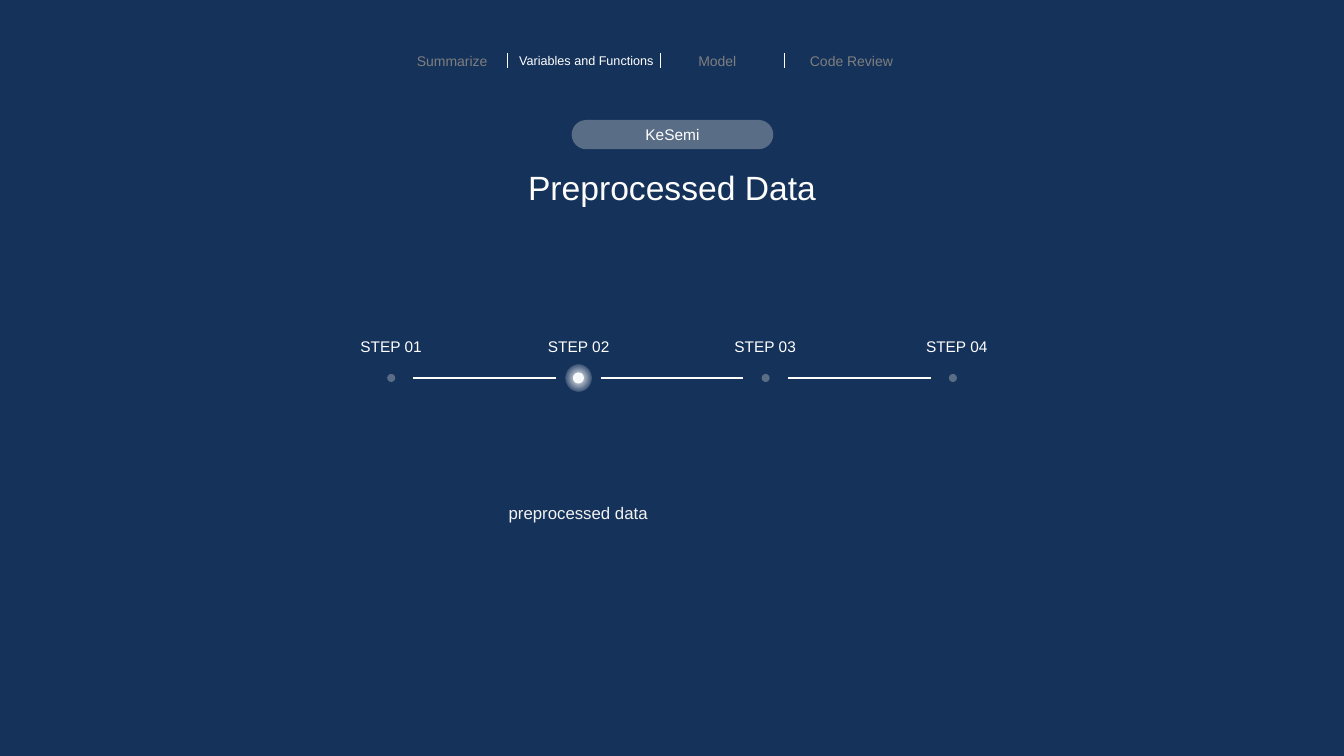
from dataclasses import dataclass

from lxml.etree import SubElement
from pptx import Presentation
from pptx.dml.color import RGBColor
from pptx.enum.shapes import MSO_CONNECTOR, MSO_SHAPE
from pptx.enum.text import MSO_ANCHOR, MSO_AUTO_SIZE, PP_ALIGN
from pptx.oxml import parse_xml
from pptx.oxml.ns import qn
from pptx.util import Inches, Pt


@dataclass(frozen=True)
class Theme:
    """Colours, font and type sizes of the slide."""
    font: str = "Arial"
    background: str = "15325A"
    light: str = "FDFDFB"
    white: str = "FFFFFF"
    soft: str = "F2F2F2"
    slate: str = "596D86"
    grey: str = "7F7F7F"
    title: float = 24
    body: float = 12
    label: float = 11
    nav: float = 10
    nav_active: float = 9
    rule: float = 0.75


THEME = Theme()
GLOW = """<a:gradFill xmlns:a="http://schemas.openxmlformats.org/drawingml/2006/main">
<a:gsLst>
<a:gs pos="0"><a:srgbClr val="F5F7FC"/></a:gs>
<a:gs pos="83000"><a:srgbClr val="FFFFFF"><a:alpha val="0"/></a:srgbClr></a:gs>
<a:gs pos="100000"><a:srgbClr val="FFFFFF"><a:alpha val="0"/></a:srgbClr></a:gs>
</a:gsLst>
<a:path path="circle"><a:fillToRect l="50000" t="50000" r="50000" b="50000"/></a:path>
</a:gradFill>"""


def write_text(sp, text, size, color, spacing=None):
    """Fill a text shape with one centred paragraph."""
    tf = sp.text_frame
    tf.text = text
    tf.word_wrap = True
    tf.auto_size = MSO_AUTO_SIZE.SHAPE_TO_FIT_TEXT
    tf.vertical_anchor = MSO_ANCHOR.TOP
    p = tf.paragraphs[0]
    p.alignment = PP_ALIGN.CENTER
    p.line_spacing = spacing
    p.font.name = THEME.font
    p.font.size = Pt(size)
    p.font.color.rgb = RGBColor.from_string(color)


def add_text(s, box, text, size, color, spacing=None):
    """Add a text box."""
    sp = s.shapes.add_textbox(*map(Inches, box))
    write_text(sp, text, size, color, spacing)


def add_filled(s, kind, box, color):
    """Add a plain shape without outline."""
    sp = s.shapes.add_shape(kind, *map(Inches, box))
    sp.shadow.inherit = False
    sp.fill.solid()
    sp.fill.fore_color.rgb = RGBColor.from_string(color)
    sp.line.fill.background()
    return sp


def add_dot(s, x, y, size, color):
    """Add a circle centred on a point."""
    box = (x - size / 2, y - size / 2, size, size)
    return add_filled(s, MSO_SHAPE.OVAL, box, color)


def add_glow(s, x, y, size):
    """Add a circle that fades out from its centre."""
    sp = add_dot(s, x, y, size, THEME.white)
    spPr = sp._element.spPr
    spPr.replace(spPr.find(qn("a:solidFill")), parse_xml(GLOW))


def add_line(s, x1, y1, x2, y2):
    """Add a thin straight line."""
    line = s.shapes.add_connector(
        MSO_CONNECTOR.STRAIGHT, *map(Inches, (x1, y1, x2, y2)))
    line.line.width = Pt(THEME.rule)
    line.line.color.rgb = RGBColor.from_string(THEME.light)
    SubElement(line._element.spPr, qn("a:effectLst"))


def add_heading(s):
    """Place the slide title and the pill above it."""
    title = s.shapes.title
    title.left, title.top, title.width, title.height = map(
        Inches, (4.16, 1.61, 5.01, 0.5))
    write_text(title, "Preprocessed Data", THEME.title, THEME.light)
    pill = add_filled(
        s, MSO_SHAPE.ROUNDED_RECTANGLE, (5.67, 1.19, 2, 0.29), THEME.slate)
    pill.adjustments[0] = 0.5
    add_text(s, (5.83, 1.19, 1.68, 0.29), "KeSemi", THEME.label, THEME.white)


def add_navigation(s):
    """Add the section names and the rules between them."""
    for x, name in ((3.87, "Summarize"), (6.5, "Model"), (7.83, "Code Review")):
        add_text(s, (x, 0.47, 1.23, 0.27), name, THEME.nav, THEME.grey)
    add_text(s, (4.97, 0.48, 1.69, 0.25), "Variables and Functions",
             THEME.nav_active, THEME.white)
    for x in (5.03, 6.55, 7.78):
        add_line(s, x, 0.53, x, 0.67)


def add_steps(s, active):
    """Add the step track with one highlighted step."""
    first, pitch, y, gap = 3.88, 1.857, 3.75, 0.22
    label_lefts = (3.41, 5.27, 7.12, 9.02)
    for i, left in enumerate(label_lefts):
        x = first + i * pitch
        add_text(s, (left, 3.29, 0.94, 0.29), f"STEP {i + 1:02}",
                 THEME.label, THEME.white)
        if i + 1 == active:
            add_dot(s, x, y, 0.11, THEME.light)
            add_glow(s, x, y, 0.26)
        else:
            add_dot(s, x, y, 0.08, THEME.slate)
        if i + 1 < len(label_lefts):
            add_line(s, x + gap, y, x + pitch - gap, y)


def main():
    """Build the slide and save it."""
    prs = Presentation()
    prs.slide_width, prs.slide_height = Inches(13.33), Inches(7.5)
    s = prs.slides.add_slide(prs.slide_layouts[5])
    s.background.fill.solid()
    s.background.fill.fore_color.rgb = RGBColor.from_string(THEME.background)
    add_navigation(s)
    add_heading(s)
    add_steps(s, active=2)
    add_text(s, (4.39, 4.88, 2.69, 0.34), "preprocessed data",
             THEME.body, THEME.soft, spacing=1.3)
    prs.save("out.pptx")


if __name__ == "__main__":
    main()
